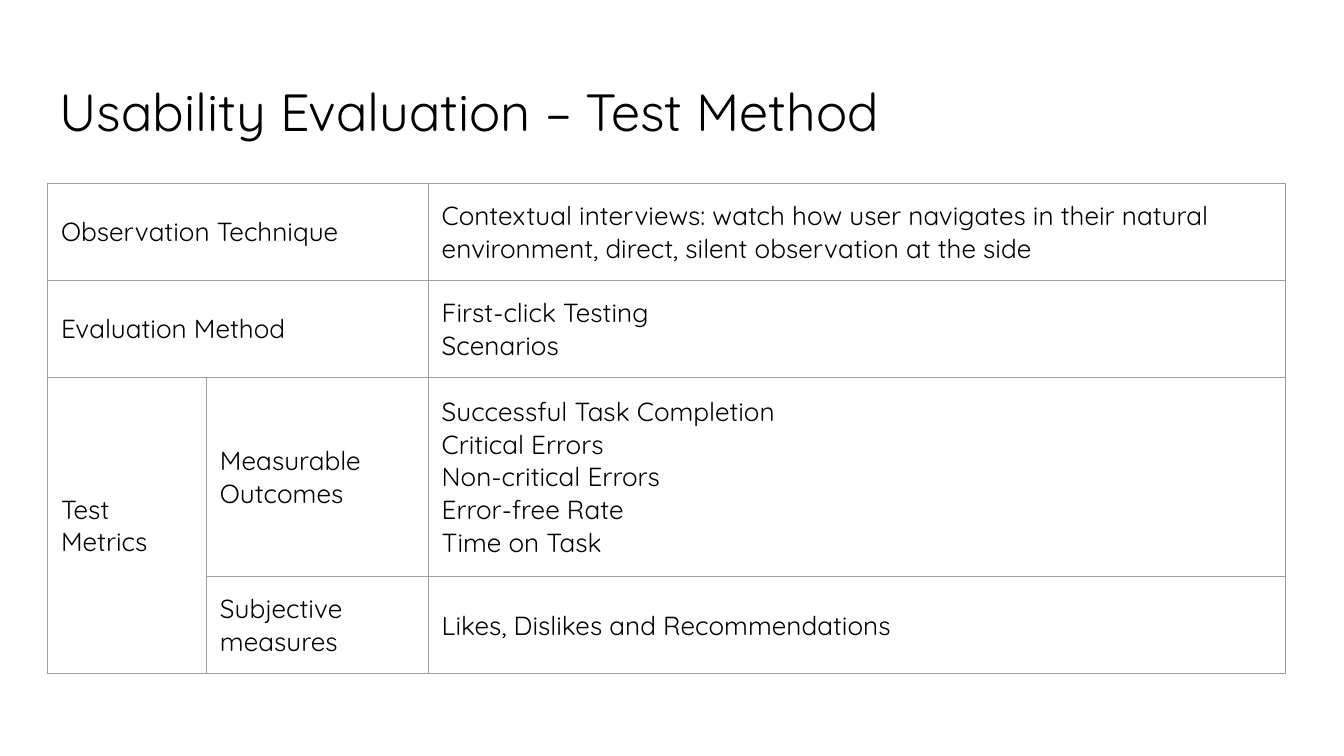
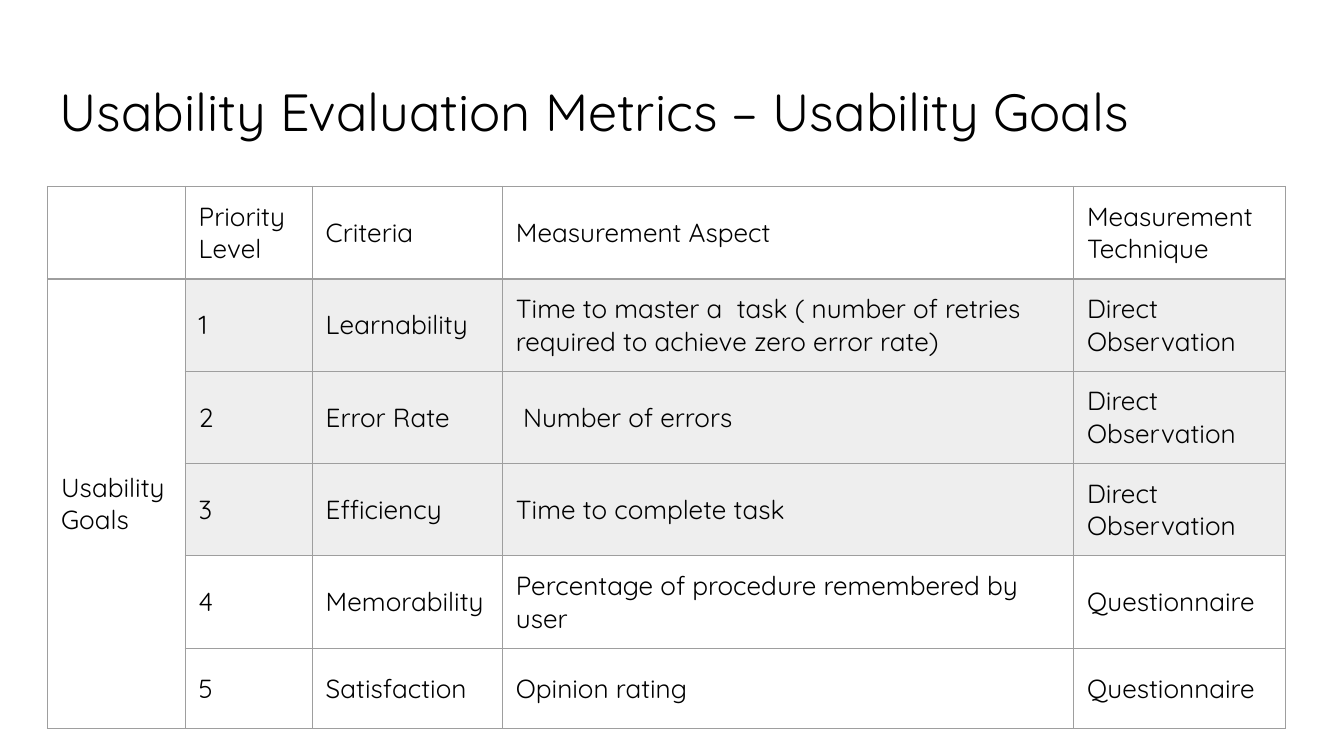
"""Build two slides of usability evaluation tables."""
from dataclasses import dataclass

from lxml import etree
from pptx import Presentation
from pptx import util as u
from pptx.dml.color import RGBColor
from pptx.enum import text
from pptx.oxml import ns


@dataclass(frozen=True)
class Theme:
    font: str = "Quicksand"
    ink: str = "000000"
    border: str = "9E9E9E"
    shade: str = "EEEEEE"
    paper: str = "FFFFFF"
    title_size: float = 28
    cell_size: float = 14
    border_width: float = 0.75
    inset: float = 0.1


THEME = Theme()
WIDTH = u.Inches(10)
HEIGHT = u.Emu(WIDTH * 9 // 16)
TABLE_LEFT = 3.54

METHOD_ROWS = [
    ["Observation Technique", "",
     "Contextual interviews: watch how user navigates in their natural "
     "environment, direct, silent observation at the side"],
    ["Evaluation Method", "", "First-click Testing\nScenarios"],
    ["Test Metrics", "Measurable Outcomes",
     "Successful Task Completion\nCritical Errors\nNon-critical Errors\n"
     "Error-free Rate\nTime on Task"],
    ["", "Subjective measures", "Likes, Dislikes and Recommendations"],
]

GOAL_ROWS = [
    ["", "Priority Level", "Criteria", "Measurement Aspect", "Measurement Technique"],
    ["Usability Goals", "1", "Learnability",
     "Time to master a  task ( number of retries required to achieve zero error rate)",
     "Direct Observation"],
    ["", "2", "Error Rate", " Number of errors", "Direct Observation"],
    ["", "3", "Efficiency", "Time to complete task", "Direct Observation"],
    ["", "4", "Memorability", "Percentage of procedure remembered by user",
     "Questionnaire"],
    ["", "5", "Satisfaction", "Opinion rating", "Questionnaire"],
]


def across(percent):
    """Turn a percentage of the slide width into a length."""
    return u.Emu(int(WIDTH * percent / 100))


def down(percent):
    """Turn a percentage of the slide height into a length."""
    return u.Emu(int(HEIGHT * percent / 100))


def write(frame, words, size):
    """Fill a text frame with one paragraph per line of words."""
    frame.word_wrap = True
    frame.text = words
    for para in frame.paragraphs:
        para.alignment = text.PP_ALIGN.LEFT
        for span in para.runs:
            span.font.name = THEME.font
            span.font.size = u.Pt(size)
            span.font.color.rgb = RGBColor.from_string(THEME.ink)


def set_insets(holder):
    """Give a cell or text frame the same margin on all sides."""
    for side in ("left", "top", "right", "bottom"):
        setattr(holder, f"margin_{side}", u.Inches(THEME.inset))


def add_borders(cell):
    """Draw a thin line on each side of a cell."""
    properties = cell._tc.get_or_add_tcPr()
    for side in ("lnL", "lnR", "lnT", "lnB"):
        line = etree.SubElement(properties, ns.qn(f"a:{side}"),
                                w=str(u.Pt(THEME.border_width)))
        fill = etree.SubElement(line, ns.qn("a:solidFill"))
        etree.SubElement(fill, ns.qn("a:srgbClr"), val=THEME.border)


def format_cell(cell, words, shaded):
    """Write a cell and set its borders, margins and fill."""
    write(cell.text_frame, words, THEME.cell_size)
    set_insets(cell)
    cell.vertical_anchor = text.MSO_ANCHOR.MIDDLE
    add_borders(cell)
    if shaded:
        cell.fill.solid()
        cell.fill.fore_color.rgb = RGBColor.from_string(THEME.shade)
    else:
        cell.fill.background()


def add_page(deck, heading):
    """Add a slide with its title."""
    page = deck.slides.add_slide(deck.slide_layouts[5])
    page.background.fill.solid()
    page.background.fill.fore_color.rgb = RGBColor.from_string(THEME.paper)
    title = page.shapes.title
    title.left, title.top = across(3.4), down(8.65)
    title.width, title.height = across(93.2), down(11.13)
    frame = title.text_frame
    write(frame, heading, THEME.title_size)
    set_insets(frame)
    frame.auto_size = text.MSO_AUTO_SIZE.NONE
    frame.vertical_anchor = text.MSO_ANCHOR.TOP
    return page


def add_grid(page, rows, top, columns, heights, merges, shaded_rows=()):
    """Add a bordered table sized in percentages of the slide."""
    table = page.shapes.add_table(
        len(rows), len(columns), across(TABLE_LEFT), down(top),
        across(sum(columns)), down(sum(heights))).table
    table.first_row = table.horz_banding = False
    for column, share in zip(table.columns, columns):
        column.width = across(share)
    for row, share in zip(table.rows, heights):
        row.height = down(share)
    for first, last in merges:
        table.cell(*first).merge(table.cell(*last))
    for r, row in enumerate(rows):
        for c, words in enumerate(row):
            format_cell(table.cell(r, c), words, r in shaded_rows and c > 0)


def main():
    """Build and save the deck."""
    deck = Presentation()
    deck.slide_width, deck.slide_height = WIDTH, HEIGHT

    page = add_page(deck, "Usability Evaluation – Test Method")
    add_grid(page, METHOD_ROWS, top=24.25, columns=[11.83, 16.5, 63.8],
             heights=[12.83, 12.83, 26.4, 12.83],
             merges=[((0, 0), (0, 1)), ((1, 0), (1, 1)), ((2, 0), (3, 0))])

    page = add_page(deck, "Usability Evaluation Metrics – Usability Goals")
    add_grid(page, GOAL_ROWS, top=24.68, columns=[10.25, 9.45, 14.15, 42.5, 15.78],
             heights=[10.6] * len(GOAL_ROWS),
             merges=[((1, 0), (5, 0))], shaded_rows=range(1, 4))

    deck.save("out.pptx")


if __name__ == "__main__":
    main()
